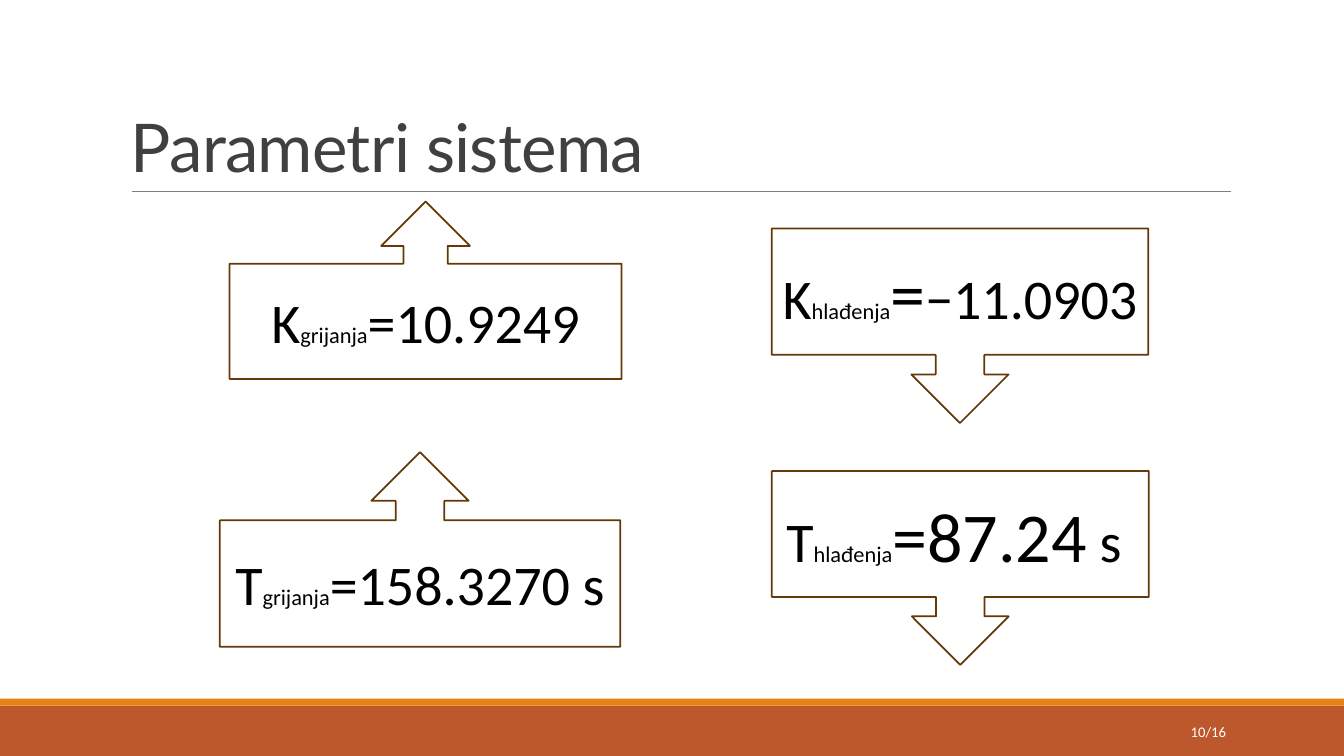
import pptx
import pptx.util
import pptx.dml.color
import pptx.enum.shapes
import pptx.enum.text
import pptx.oxml.ns
import lxml.etree

Pt = pptx.util.Pt
Rgb = pptx.dml.color.RGBColor.from_string
Kind = pptx.enum.shapes.MSO_SHAPE
Align = pptx.enum.text.PP_ALIGN
Anchor = pptx.enum.text.MSO_ANCHOR
hues = {"rust": "BD582C", "gold": "E48312", "rule": "808080", "title": "404040",
        "edge": "643908", "white": "FFFFFF", "black": "000000"}

deck = pptx.Presentation()
deck.slide_width, deck.slide_height = Pt(960), Pt(540)
slide = deck.slides.add_slide(deck.slide_layouts[6])
shapes = slide.shapes


def draw(kind, box, fill):
    shape = shapes.add_shape(kind, *map(Pt, box))
    shape.shadow.inherit = False
    shape.fill.solid()
    shape.fill.fore_color.rgb = Rgb(hues[fill])
    shape.line.fill.background()
    return shape


def write(shape, parts, hue, face, align, anchor):
    frame = shape.text_frame
    frame.word_wrap = True
    frame.vertical_anchor = anchor
    para = frame.paragraphs[0]
    para.alignment = align
    for text, size in parts:
        run = para.add_run()
        run.text = text
        run.font.size = Pt(size)
        run.font.name = face
        run.font.color.rgb = Rgb(hues[hue])
    return para


draw(Kind.RECTANGLE, (0, 504, 960, 36), "rust")
draw(Kind.RECTANGLE, (0, 499, 960, 5), "gold")

rule = shapes.add_connector(pptx.enum.shapes.MSO_CONNECTOR.STRAIGHT,
                            Pt(94.3), Pt(136.8), Pt(879), Pt(136.8))
rule.line.color.rgb = Rgb(hues["rule"])
rule.line.width = Pt(0.5)
lxml.etree.SubElement(rule._element.spPr, pptx.oxml.ns.qn("a:effectLst"))

title = shapes.add_textbox(Pt(86.4), Pt(77.8), Pt(792), Pt(59))
para = write(title, [("Parametri sistema", 48)], "title", "Lato", Align.LEFT, Anchor.BOTTOM)
para.line_spacing = 0.85
para.runs[0].font._element.set("spc", "-50")

page = shapes.add_textbox(Pt(779.8), Pt(508.3), Pt(103), Pt(28.8))
write(page, [("10/16", 10.5)], "white", "Calibri", Align.RIGHT, Anchor.MIDDLE)

up, down = Kind.UP_ARROW_CALLOUT, Kind.DOWN_ARROW_CALLOUT
cards = [
    (up, (164, 144, 280, 126.7), [("K", 40), ("grijanja", 16), ("=10.9249", 40)]),
    (up, (157, 323, 286, 139), [("Τ", 40), ("grijanja", 16), ("=158.3270 s", 40)]),
    (down, (551.3, 163.2, 268.8, 139), [("K", 40), ("hlađenja", 16), ("=", 50), ("−11.0903", 40)]),
    (down, (551.3, 336.5, 269.2, 138.4), [("Τ", 40), ("hlađenja", 16), ("=87.24", 50), (" s ", 40)]),
]
for kind, box, parts in cards:
    card = draw(kind, box, "white")
    card.line.color.rgb = Rgb(hues["edge"])
    card.line.width = Pt(1.25)
    card.text_frame.margin_left = card.text_frame.margin_right = Pt(4)
    write(card, parts, "black", "Calibri", Align.CENTER, Anchor.MIDDLE)

deck.save("out.pptx")
